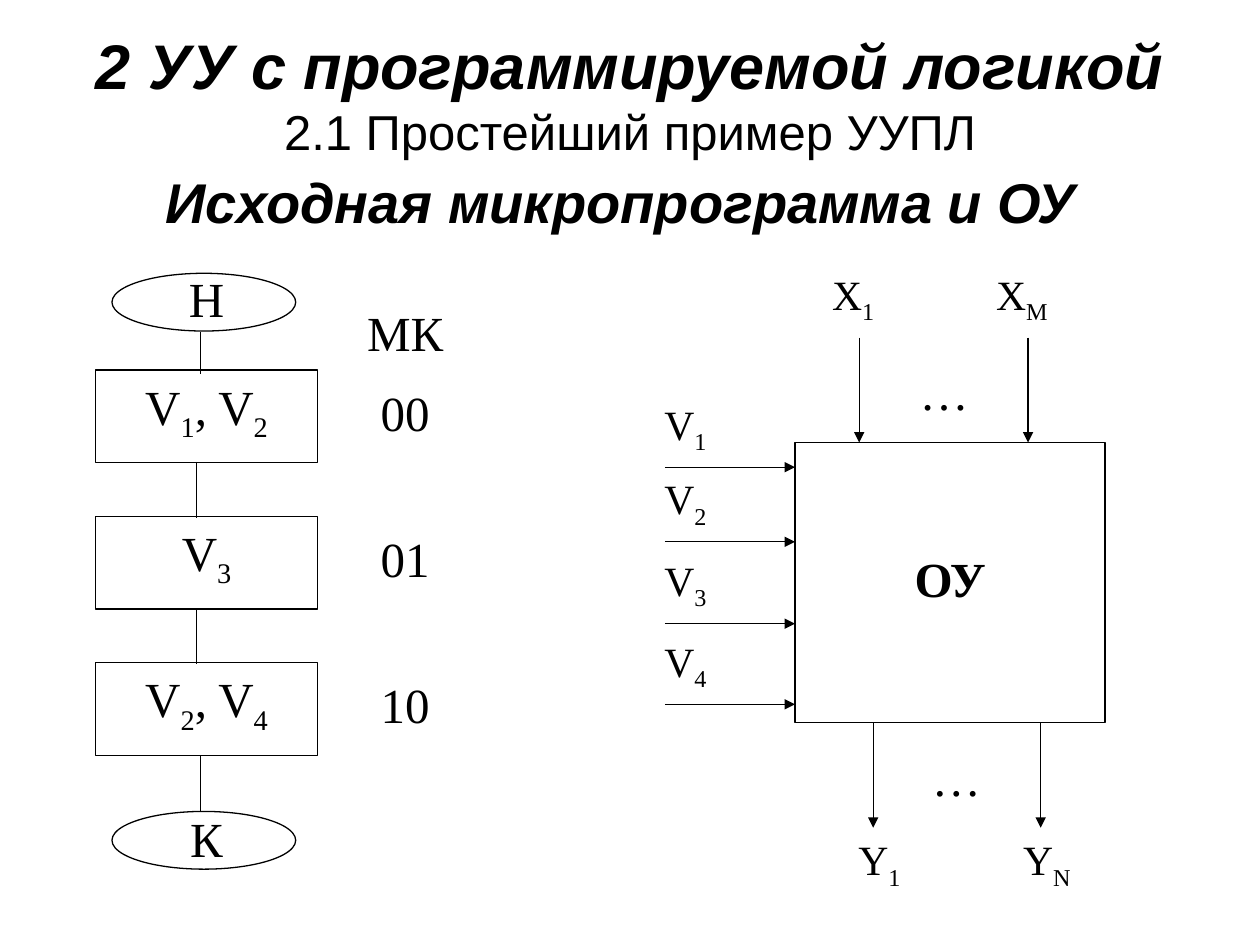
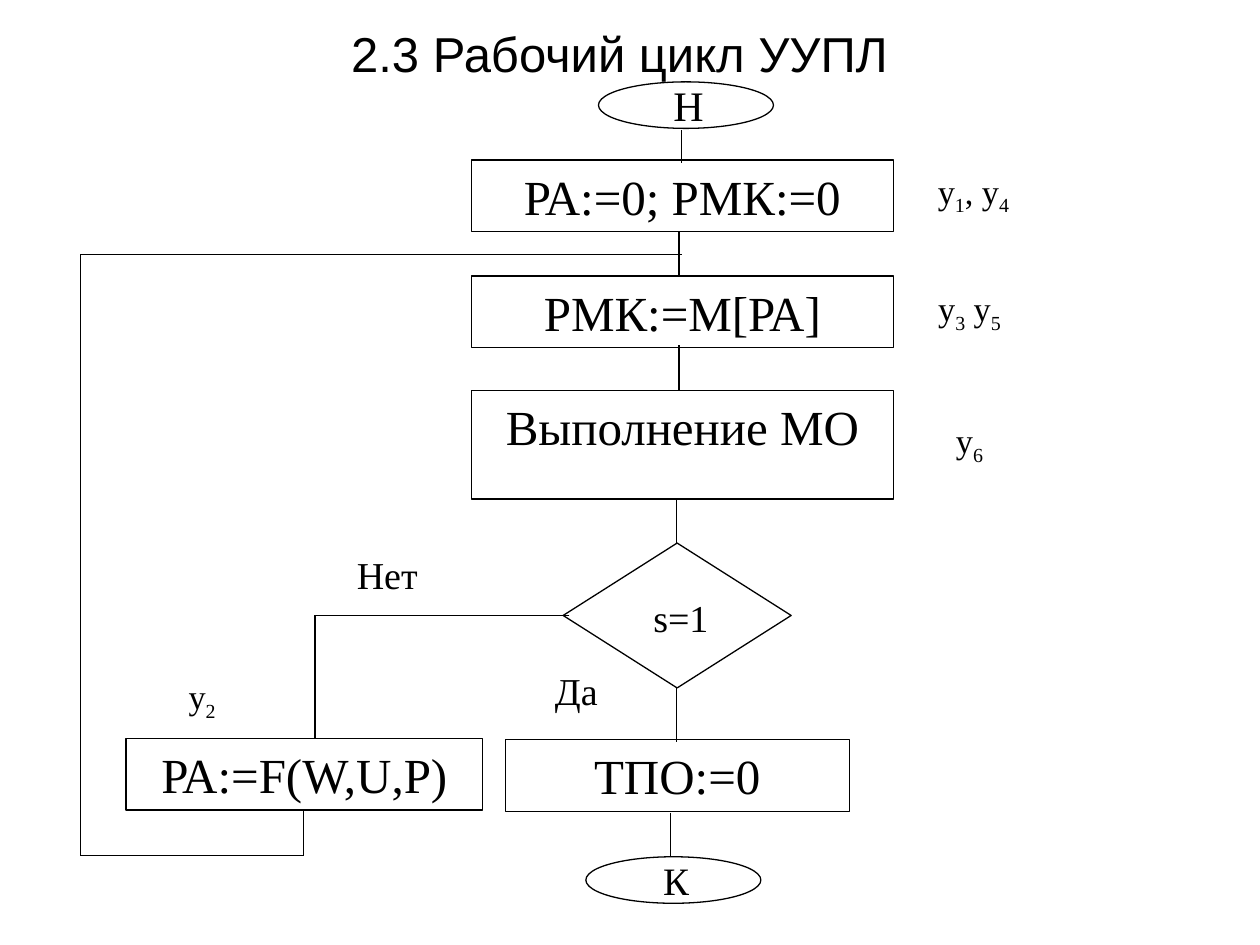
from itertools import pairwise
from lxml import etree
from pptx import Presentation
from pptx.dml.color import RGBColor
from pptx.enum.shapes import MSO_CONNECTOR, MSO_SHAPE
from pptx.enum.text import MSO_ANCHOR, MSO_AUTO_SIZE, PP_ALIGN
from pptx.oxml.ns import qn
from pptx.util import Pt

INK = "000000"
SANS, SERIF = "Arial", "Times New Roman"
BIG, PORT, BRANCH, SIGNAL = 28, 23.8, 21.7, 19.6
STRONG = dict(bold=True, italic=True)

TITLE_1 = [
    [("2 УУ с программируемой логикой", dict(size=36, **STRONG))],
    [("2.1 Простейший пример УУПЛ", dict(size=BIG))],
    [("Исходная микропрограмма и ОУ", dict(size=32, **STRONG)), (" ", dict(size=36))],
]
TITLE_2 = [[("2.3 Рабочий цикл УУПЛ", dict(size=BIG))]]

STEPS = [("V_1, V_2", "00"), ("V_3", "01"), ("V_2, V_4", "10")]
STEP_LINKS = [(114.5, 190, 214), (112.3, 264, 296), (112.3, 348, 379.5), (114.5, 432, 463.7)]
TERMINALS_1 = [("Н", 156.2, 149.8), ("К", 463.7, 458.6)]
CONTROLS = [("V_1", 267), ("V_2", 309.6), ("V_3", 356.4), ("V_4", 402.5)]
INPUTS = [("X_1", 491), ("X_M", 587.5)]
OUTPUTS = [("Y_1", 499), ("Y_N", 594.7)]

OPERATIONS = [
    ("РА:=0; РМК:=0", 269.3, 91.4, 241.2, 41),
    ("РМК:=M[РА]", 269.3, 157.7, 241.2, 41),
    ("Выполнение МО", 269.3, 223.2, 241.2, 62),
    ("ТПО:=0", 288.7, 422.6, 196.6, 41),
    ("РА:=F(W,U,P)", 72, 422, 203.8, 41),
]
TERMINALS_2 = [("Н", 342, 46.8, 41.8, 24), ("К", 334.8, 489.6, 486, 22.2)]
BRANCHES = [("Нет", 154.8, 311.8), ("s=1", 322.6, 336.2), ("Да", 262.8, 378)]
SIGNALS = [
    ("y_1, y_4", 506.2, 93.6),
    ("y_3 y_5", 504, 160.6),
    ("y_6", 504, 236.2),
    ("y_2", 65.5, 382.3),
]
ROUTES = [
    [(389.5, 74.2), (389.5, 92.9)],
    [(388, 132.5), (388, 157.7)],
    [(388, 197.3), (388, 223.2)],
    [(386.6, 285.1), (386.6, 310.3)],
    [(386.6, 392.4), (386.6, 424)],
    [(383, 464.4), (383, 489.6)],
    [(325.4, 351.7), (180, 351.7), (180, 422)],
    [(173.5, 463), (173.5, 488.9), (46.1, 488.9), (46.1, 145.4), (389.5, 145.4)],
]


def color(value):
    return RGBColor.from_string(value)


def add_run(p, text, size=BIG, font=SERIF, bold=False, italic=False, sub=False):
    r = p.add_run()
    r.text = text
    r.font.size, r.font.name = Pt(size), font
    r.font.bold, r.font.italic = bold, italic
    r.font.color.rgb = color(INK)
    if sub:
        r.font._element.set("baseline", "-25000")


def write(tf, text, **fmt):
    tf.word_wrap = True
    tf.vertical_anchor = MSO_ANCHOR.TOP
    p = tf.paragraphs[0]
    p.alignment = PP_ALIGN.CENTER
    first, *rest = text.split("_")
    add_run(p, first, **fmt)
    for part in rest:
        add_run(p, part[0], sub=True, **fmt)
        if part[1:]:
            add_run(p, part[1:], **fmt)


def label(s, text, x, y, w, h, **fmt):
    write(s.shapes.add_textbox(Pt(x), Pt(y), Pt(w), Pt(h)).text_frame, text, **fmt)


def outline(s, kind, x, y, w, h, text=""):
    sp = s.shapes.add_shape(kind, Pt(x), Pt(y), Pt(w), Pt(h))
    sp.shadow.inherit = False
    sp.fill.background()
    sp.line.color.rgb = color(INK)
    sp.line.width = Pt(0.75)
    if text:
        write(sp.text_frame, text)


def link(s, start, end, arrow=False):
    c = s.shapes.add_connector(MSO_CONNECTOR.STRAIGHT, *map(Pt, start + end))
    c.line.color.rgb = color(INK)
    c.line.width = Pt(0.75)
    if arrow:
        etree.SubElement(c.line._get_or_add_ln(), qn("a:tailEnd"), type="triangle")
    etree.SubElement(c._element.spPr, qn("a:effectLst"))


def add_slide(prs, title, x, y, w, h):
    s = prs.slides.add_slide(prs.slide_layouts[5])
    sp = s.shapes.title
    sp.left, sp.top, sp.width, sp.height = map(Pt, (x, y, w, h))
    tf = sp.text_frame
    tf.auto_size = MSO_AUTO_SIZE.NONE
    tf.vertical_anchor = MSO_ANCHOR.MIDDLE
    for i, runs in enumerate(title):
        p = tf.add_paragraph() if i else tf.paragraphs[0]
        p.alignment = PP_ALIGN.CENTER
        for text, fmt in runs:
            add_run(p, text, font=SANS, **fmt)
    return s


def draw_microprogram(s):
    for text, top, text_top in TERMINALS_1:
        outline(s, MSO_SHAPE.OVAL, 64, top, 105, 33)
        label(s, text, 48, text_top, 140, 45)
    label(s, "МК", 181.5, 169.2, 100, 45)
    for i, (step, code) in enumerate(STEPS):
        top = 211.5 + 83.6 * i
        outline(s, MSO_SHAPE.RECTANGLE, 54.7, top, 126.7, 53, step)
        label(s, code, 181.5, top + 3.3, 100, 45)
    for x, top, bottom in STEP_LINKS:
        link(s, (x, top), (x, bottom))


def draw_unit(s):
    left, top, w, h = 454.3, 252.9, 177.2, 160
    bottom = top + h
    outline(s, MSO_SHAPE.RECTANGLE, left, top, w, h)
    label(s, "ОУ", 447, 309.6, 192, 71, bold=True)
    for text, y in CONTROLS:
        label(s, text, 336.2, y - 42.9, 111, 42.5, size=PORT)
        link(s, (380, y), (left, y), arrow=True)
    for text, x in INPUTS:
        label(s, text, x - 59, 150, 111, 42.5, size=PORT)
        link(s, (x, 193), (x, top), arrow=True)
    for text, x in OUTPUTS:
        label(s, text, x - 52, 473, 111, 42.5, size=PORT)
        link(s, (x, bottom), (x, 473), arrow=True)
    for x, y in [(484, 203), (491, 423.4)]:
        label(s, "…", x, y, 111, 42.5)


def draw_cycle(s):
    for text, x, y, text_top, size in TERMINALS_2:
        outline(s, MSO_SHAPE.OVAL, x, y, 100, 26.6)
        label(s, text, x - 15, text_top, 133, 36, size=size)
    for text, *box in OPERATIONS:
        outline(s, MSO_SHAPE.RECTANGLE, *box, text)
    outline(s, MSO_SHAPE.DIAMOND, 321.8, 310.3, 130.3, 82.8)
    for text, x, y in BRANCHES:
        label(s, text, x, y, 133, 36, size=BRANCH)
    for text, x, y in SIGNALS:
        label(s, text, x, y, 100, 36, size=SIGNAL)
    for route in ROUTES:
        for start, end in pairwise(route):
            link(s, start, end)


def main():
    prs = Presentation()
    prs.slide_width, prs.slide_height = Pt(720), Pt(540)
    s = add_slide(prs, TITLE_1, 24, 18, 672, 114)
    draw_microprogram(s)
    draw_unit(s)
    draw_cycle(add_slide(prs, TITLE_2, 24, 6, 660, 48))
    prs.save("out.pptx")


if __name__ == "__main__":
    main()
